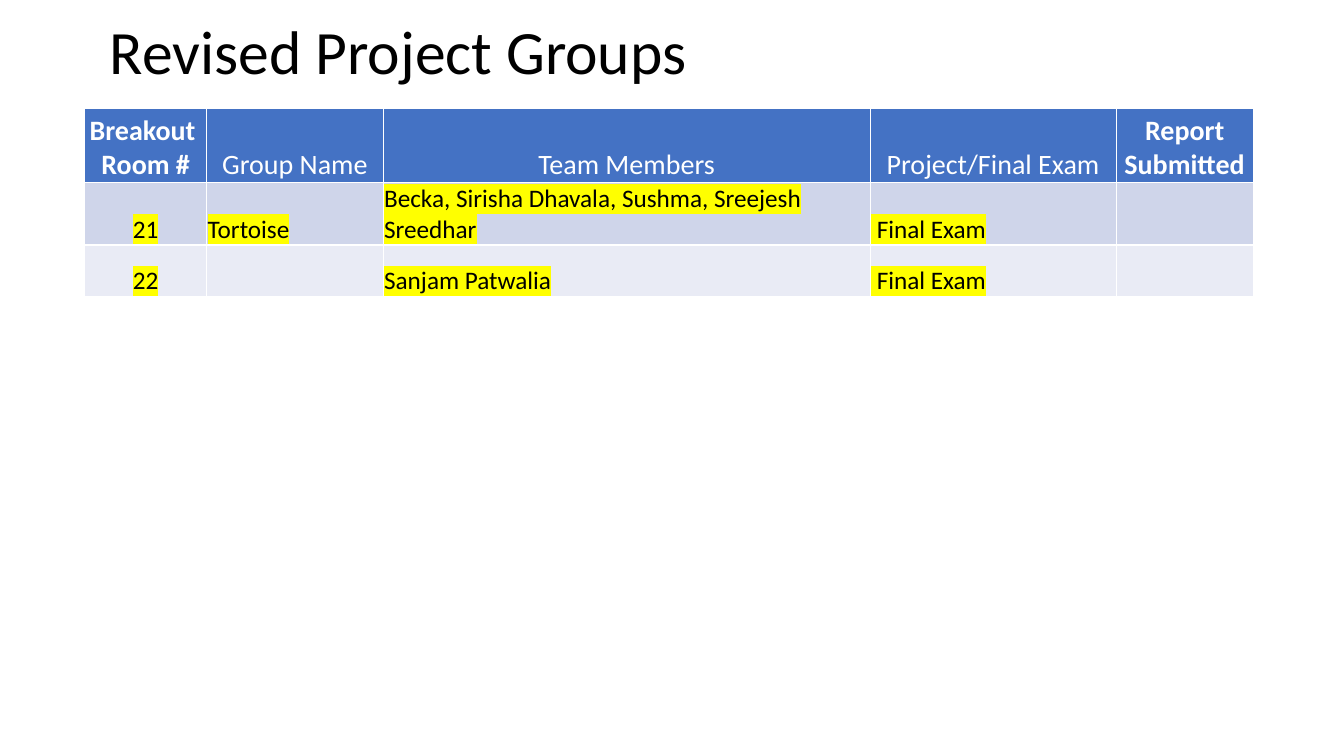
from lxml import etree
from pptx import Presentation
from pptx import util as u
from pptx.dml.color import RGBColor
from pptx.enum import text
from pptx.oxml import ns

PX = 9144  # 100 px to the inch
FONT = "Calibri"
BLACK = RGBColor(0x00, 0x00, 0x00)
WHITE = RGBColor(0xFF, 0xFF, 0xFF)
BLUE = RGBColor(0x44, 0x72, 0xC4)
BAND_DARK = RGBColor(0xCF, 0xD5, 0xEA)
BAND_LIGHT = RGBColor(0xE9, 0xEB, 0xF5)
YELLOW = RGBColor(0xFF, 0xFF, 0x00)

COLUMN_WIDTHS = [121, 175, 483, 244, 136]
ROW_HEIGHTS = [73, 51, 51]
ROW_FILLS = [BLUE, BAND_DARK, BAND_LIGHT]
BOLD_HEADERS = (0, 4)
GROUPS = [
    ["Breakout \nRoom #", "Group Name", "Team Members", "Project/Final Exam", "Report Submitted"],
    ["21", "Tortoise", "Becka, Sirisha Dhavala, Sushma, Sreejesh Sreedhar", " Final Exam", ""],
    ["22", "", "Sanjam Patwalia", " Final Exam", ""],
]


def px(length):
    return u.Emu(length * PX)


def set_all(target, values):
    for name, value in values.items():
        setattr(target, name, value)


def format_font(font, size, color, bold=False):
    set_all(font, {"name": FONT, "size": u.Pt(size), "bold": bold})
    font.color.rgb = color


def highlight(run, color):
    # The highlight element belongs directly after the text fill
    mark = etree.Element(ns.qn("a:highlight"))
    etree.SubElement(mark, ns.qn("a:srgbClr"), val=str(color))
    run.font._element.find(ns.qn("a:solidFill")).addnext(mark)


def add_title(slide, words):
    title = slide.shapes.title
    set_all(title, {"left": px(99), "top": px(0), "width": px(1150), "height": px(108)})
    title.text_frame.text = words
    title.text_frame.vertical_anchor = text.MSO_ANCHOR.MIDDLE
    paragraph = title.text_frame.paragraphs[0]
    set_all(paragraph, {"alignment": text.PP_ALIGN.LEFT, "line_spacing": 0.9})
    format_font(paragraph.runs[0].font, 44, BLACK)


def fill_cell(cell, words, row, column):
    cell.fill.solid()
    cell.fill.fore_color.rgb = ROW_FILLS[row]
    if not words:
        return
    set_all(cell, {"vertical_anchor": text.MSO_ANCHOR.BOTTOM, "margin_left": px(1),
                   "margin_top": px(1), "margin_right": px(1), "margin_bottom": px(0)})
    cell.text_frame.text = words
    is_header = row == 0
    centred = is_header or column == 0
    for paragraph in cell.text_frame.paragraphs:
        paragraph.alignment = text.PP_ALIGN.CENTER if centred else text.PP_ALIGN.LEFT
        for run in paragraph.runs:
            if is_header:
                format_font(run.font, 20, WHITE, column in BOLD_HEADERS)
            else:
                format_font(run.font, 18, BLACK)
                highlight(run, YELLOW)


def add_group_table(slide):
    frame = slide.shapes.add_table(len(ROW_HEIGHTS), len(COLUMN_WIDTHS), px(84), px(108),
                                   px(sum(COLUMN_WIDTHS)), px(sum(ROW_HEIGHTS)))
    table = frame.table
    for column, width in zip(table.columns, COLUMN_WIDTHS):
        column.width = px(width)
    for row, height in zip(table.rows, ROW_HEIGHTS):
        row.height = px(height)
    for row, entries in enumerate(GROUPS):
        for column, words in enumerate(entries):
            fill_cell(table.cell(row, column), words, row, column)


def main():
    presentation = Presentation()
    set_all(presentation, {"slide_width": u.Inches(13.33), "slide_height": u.Inches(7.5)})
    slide = presentation.slides.add_slide(presentation.slide_layouts[5])

    # Title above the table of groups
    add_title(slide, "Revised Project Groups")
    add_group_table(slide)

    presentation.save("out.pptx")


if __name__ == "__main__":
    main()
